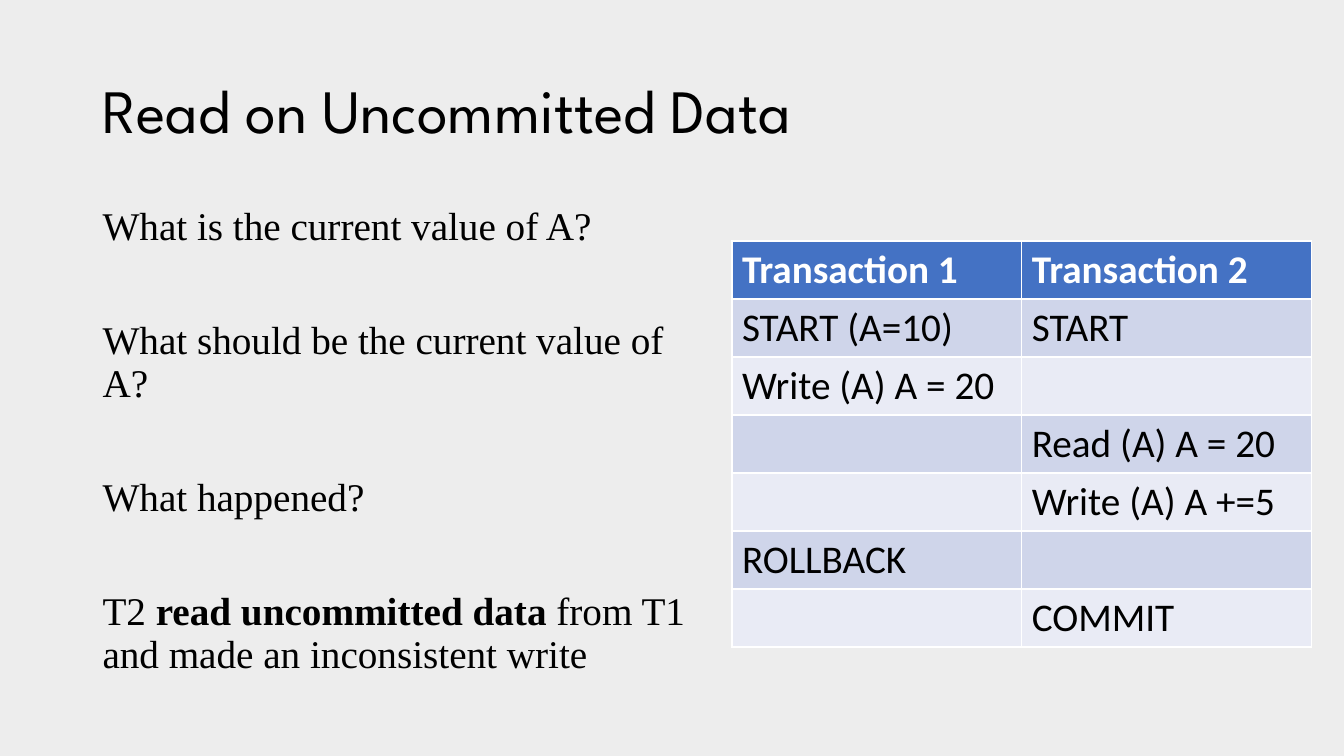
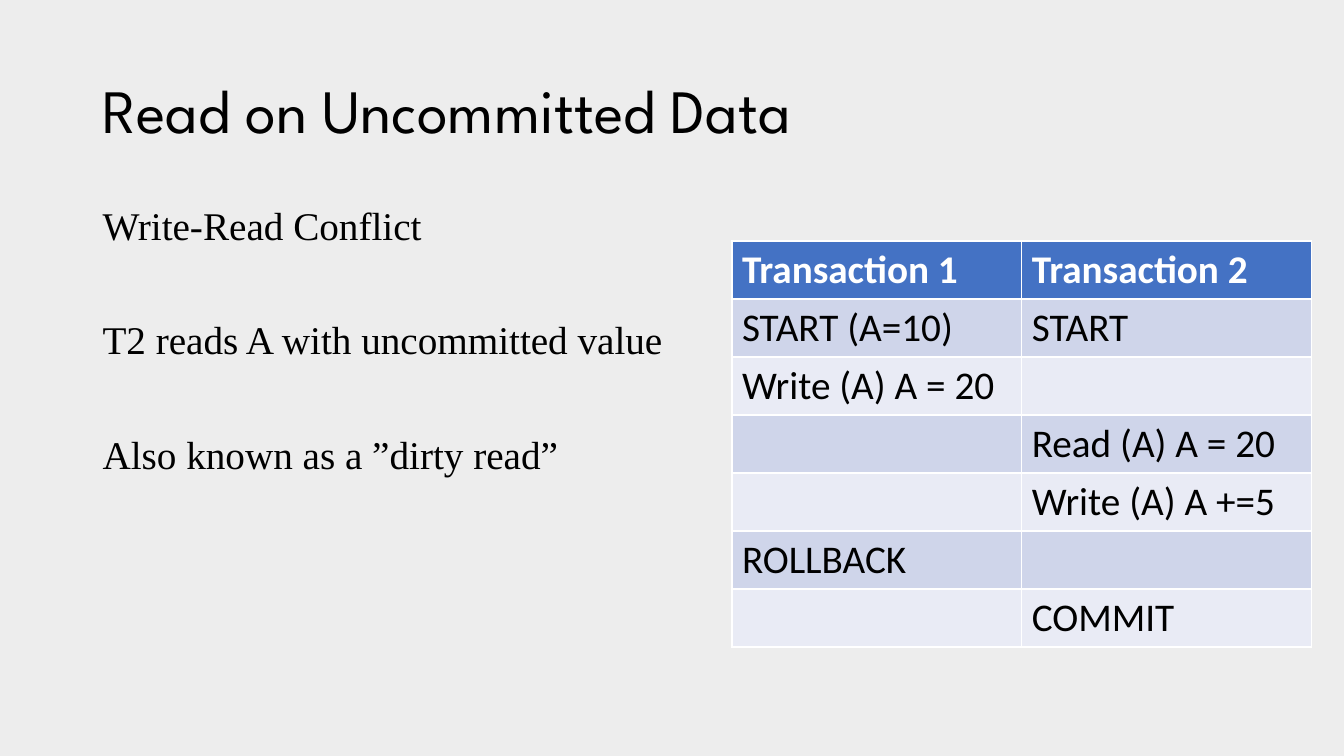
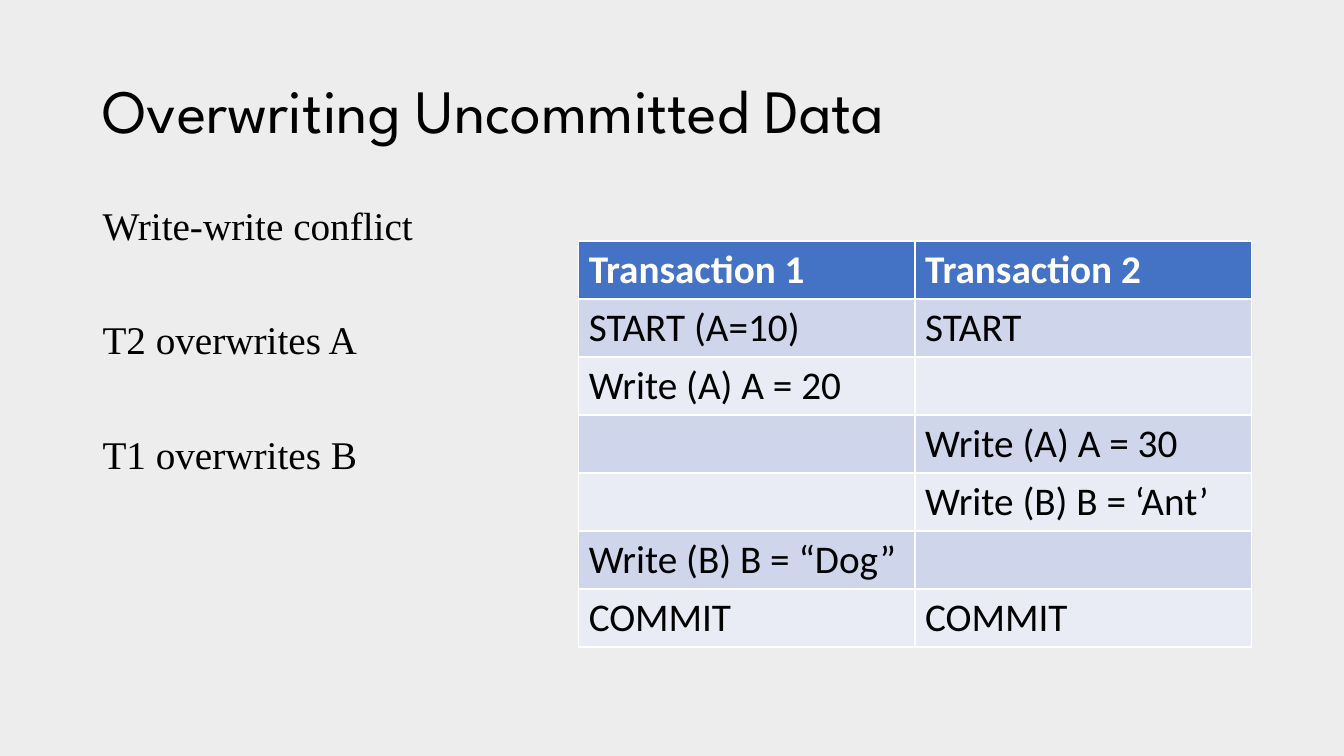
from dataclasses import dataclass

from lxml.etree import SubElement
from pptx import Presentation
from pptx.dml.color import RGBColor as Rgb
from pptx.enum.text import MSO_ANCHOR as Anchor, MSO_AUTO_SIZE as Fit, PP_ALIGN as Align
from pptx.oxml.ns import qn
from pptx.util import Inches, Pt


@dataclass(frozen=True)
class Theme:
    back: str = "EDEDED"
    ink: str = "000000"
    light: str = "FFFFFF"
    head: str = "4472C4"
    bands: tuple = ("CFD5EA", "E9EBF5")
    title: str = "League Spartan"
    body: str = "Times New Roman"
    grid: str = "Calibri"
    big: int = 44
    size: int = 28
    gap: float = 51.4


LOOK = Theme()
WIDE, HIGH = Inches(13.33), Inches(7.5)
EDGE = 6.88
GUTTER = 0.94
HEADS = ("Transaction 1", "Transaction 2")
DIRTY = (
    ("START (A=10)", "START"),
    ("Write (A) A = 20", ""),
    ("", "Read (A) A = 20"),
    ("", "Write (A) A +=5"),
    ("ROLLBACK", ""),
    ("", "COMMIT"),
)
CLASH = (
    ("START (A=10)", "START"),
    ("Write (A) A = 20", ""),
    ("", "Write (A) A = 30"),
    ("", "Write (B) B = ‘Ant’"),
    ("Write (B) B = “Dog”", ""),
    ("COMMIT", "COMMIT"),
)
PAGES = (
    ("Read on Uncommitted Data", (
        "What is the current value of A?",
        "What should be the current value of A?",
        "What happened?",
        ("T2 ", "read uncommitted data", " from T1 and made an inconsistent write"),
    ), DIRTY, 54.46, 97.6),
    ("Read on Uncommitted Data", (
        "Write-Read Conflict",
        "T2 reads A with uncommitted value",
        "Also known as a ”dirty read”",
    ), DIRTY, 54.46, 97.6),
    ("Overwriting Uncommitted Data", (
        "Write-write conflict",
        "T2 overwrites A",
        "T1 overwrites B",
    ), CLASH, 43.06, 100 - EDGE),
)


def share(left, top, width, height):
    return (int(WIDE * left / 100), int(HIGH * top / 100),
            int(WIDE * width / 100), int(HIGH * height / 100))


def place(shape, box):
    shape.left, shape.top, shape.width, shape.height = box


def write(para, text, *, font, size=LOOK.size, color=LOOK.ink, bold=False, line=1.0, before=0):
    para.alignment = Align.LEFT
    para.line_spacing = line
    para.space_before = Pt(before)
    parts = (text,) if isinstance(text, str) else text
    for spot, part in enumerate(parts):
        run = para.add_run()
        run.text = part
        run.font.name = font
        run.font.size = Pt(size)
        run.font.color.rgb = Rgb.from_string(color)
        run.font.bold = bold or spot % 2 == 1


def add_title(slide, box, text):
    title = slide.shapes.title
    place(title, box)
    frame = title.text_frame
    frame.auto_size = Fit.NONE
    frame.vertical_anchor = Anchor.MIDDLE
    write(frame.paragraphs[0], text, font=LOOK.title, size=LOOK.big, line=0.9)


def add_list(slide, box, items):
    body = slide.placeholders[1]
    place(body, box)
    frame = body.text_frame
    frame.auto_size = Fit.NONE
    for spot, item in enumerate(items):
        para = frame.add_paragraph() if spot else frame.paragraphs[0]
        props = para._p.get_or_add_pPr()
        props.set("marL", "0")
        props.set("indent", "0")
        SubElement(props, qn("a:buNone"))
        write(para, item, font=LOOK.body, line=0.9, before=LOOK.gap if spot else 0)


def add_steps(slide, box, steps):
    rows = (HEADS, *steps)
    table = slide.shapes.add_table(len(rows), len(HEADS), *box).table
    for y, row in enumerate(rows):
        for x, text in enumerate(row):
            cell = table.cell(y, x)
            cell.fill.solid()
            shade = LOOK.bands[(y - 1) % 2] if y else LOOK.head
            cell.fill.fore_color.rgb = Rgb.from_string(shade)
            para = cell.text_frame.paragraphs[0]
            if text:
                write(para, text, font=LOOK.grid, bold=y == 0,
                      color=LOOK.ink if y else LOOK.light)
            else:
                para.font.size = Pt(LOOK.size)
                para.font.name = LOOK.grid


def add_page(deck, title, items, steps, start, end):
    slide = deck.slides.add_slide(deck.slide_layouts[1])
    add_title(slide, share(EDGE, 5.33, 100 - 2 * EDGE, 19.33), title)
    add_list(slide, share(EDGE, 26.67, start - GUTTER - EDGE, 63.47), items)
    add_steps(slide, share(start, 31.87, end - start, 52.93), steps)


def main():
    deck = Presentation()
    deck.slide_width, deck.slide_height = WIDE, HIGH
    fill = deck.slide_master.background.fill
    fill.solid()
    fill.fore_color.rgb = Rgb.from_string(LOOK.back)
    for page in PAGES:
        add_page(deck, *page)
    deck.save("out.pptx")


if __name__ == "__main__":
    main()
